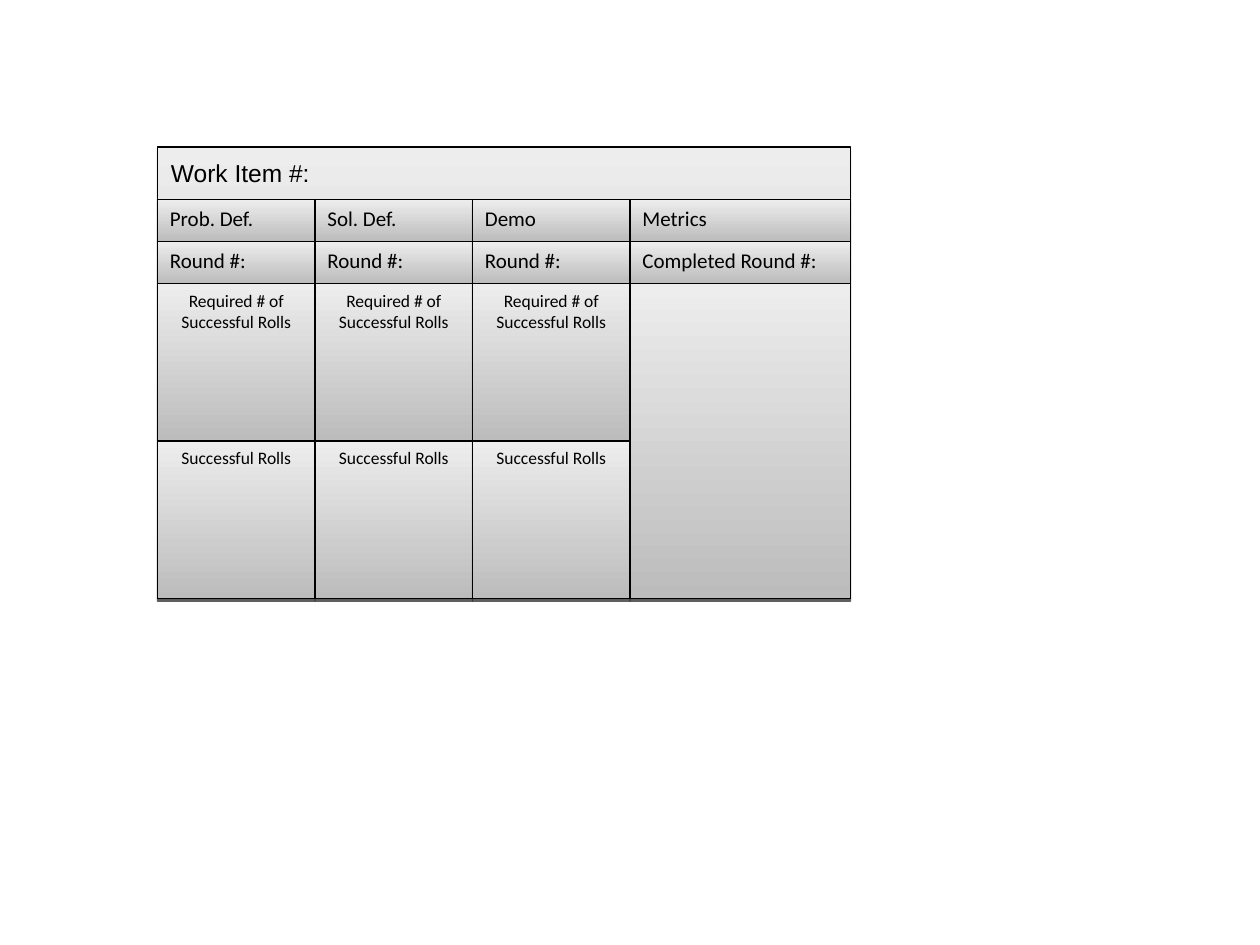
from lxml import etree
from pptx import Presentation
from pptx.dml.color import RGBColor
from pptx.enum.shapes import MSO_SHAPE
from pptx.enum.text import MSO_ANCHOR, MSO_AUTO_SIZE, PP_ALIGN
from pptx.oxml.ns import qn
from pptx.util import Pt

RECTANGLE = MSO_SHAPE.RECTANGLE
TOP = MSO_ANCHOR.TOP
FIT_SHAPE = MSO_AUTO_SIZE.SHAPE_TO_FIT_TEXT
LEFT, CENTER = PP_ALIGN.LEFT, PP_ALIGN.CENTER
BLACK = RGBColor(0x00, 0x00, 0x00)
DARK_GRAY = RGBColor(0xBC, 0xBC, 0xBC)
LIGHT_GRAY = RGBColor(0xED, 0xED, 0xED)

CARD_TITLE = "Work Item #:"
STAGES = ["Prob. Def.", "Sol. Def.", "Demo"]
STAGE_ROWS = ["Round #:", "Required # of Successful Rolls", "Successful Rolls"]
METRICS = ["Metrics", "Completed Round #:", ""]

CARD_LEFT, CARD_TOP = 90, 84
TITLE_HEIGHT, LABEL_HEIGHT, ROLLS_HEIGHT = 30, 24, 90
STAGE_WIDTH, METRICS_WIDTH = 90, 126
STAGE_HEIGHTS = [LABEL_HEIGHT, LABEL_HEIGHT, ROLLS_HEIGHT, ROLLS_HEIGHT]
METRICS_HEIGHTS = [LABEL_HEIGHT, LABEL_HEIGHT, 2 * ROLLS_HEIGHT]

LABEL_FONT = {"name": "Calibri", "size": Pt(12)}
ROLLS_FONT = {"name": "Calibri", "size": Pt(10)}
TITLE_FONT = {"name": "Arial", "size": Pt(14)}
FRAME_FORMAT = {
    "margin_left": Pt(7.2), "margin_right": Pt(7.2),
    "margin_top": Pt(3.6), "margin_bottom": Pt(3.6),
    "vertical_anchor": TOP,
}


def write_text(shape, text, font_format, alignment=LEFT, wrap=True):
    frame = shape.text_frame
    for name, value in FRAME_FORMAT.items():
        setattr(frame, name, value)
    frame.word_wrap = wrap
    frame.text = text
    paragraph = frame.paragraphs[0]
    paragraph.alignment = alignment
    for name, value in font_format.items():
        setattr(paragraph.font, name, value)
    paragraph.font.color.rgb = BLACK


def add_shadow(shape):
    shape.shadow.inherit = False
    effects = shape._element.spPr.find(qn("a:effectLst"))
    shadow = etree.SubElement(effects, qn("a:outerShdw"), blurRad="0",
                              dist=str(Pt(1.6)), dir="5400000", rotWithShape="0")
    color = etree.SubElement(shadow, qn("a:srgbClr"), val=str(BLACK))
    etree.SubElement(color, qn("a:alpha"), val="38000")


def add_panel(shapes, left, top, width, height):
    panel = shapes.add_shape(RECTANGLE, Pt(left), Pt(top), Pt(width), Pt(height))
    panel.fill.gradient()
    panel.fill.gradient_angle = 90
    for stop, color in zip(panel.fill.gradient_stops, (DARK_GRAY, LIGHT_GRAY)):
        stop.color.rgb = color
    panel.line.color.rgb = BLACK
    panel.line.width = Pt(0.75)
    add_shadow(panel)
    return panel


def add_column(shapes, left, width, texts, heights):
    top = CARD_TOP + TITLE_HEIGHT
    for text, height in zip(texts, heights):
        panel = add_panel(shapes, left, top, width, height)
        if text and height == LABEL_HEIGHT:
            write_text(panel, text, LABEL_FONT)
        elif text:
            write_text(panel, text, ROLLS_FONT, CENTER)
        top += height


def main():
    presentation = Presentation()
    presentation.slide_width, presentation.slide_height = Pt(720), Pt(540)
    slide = presentation.slides.add_slide(presentation.slide_layouts[6])
    shapes = slide.shapes.add_group_shape().shapes

    metrics_left = CARD_LEFT + len(STAGES) * STAGE_WIDTH
    card_width = metrics_left + METRICS_WIDTH - CARD_LEFT
    add_panel(shapes, CARD_LEFT, CARD_TOP, card_width, TITLE_HEIGHT + sum(STAGE_HEIGHTS))
    title = shapes.add_textbox(Pt(90.6), Pt(87), Pt(98), Pt(24.5))
    write_text(title, CARD_TITLE, TITLE_FONT, wrap=False)
    title.text_frame.auto_size = FIT_SHAPE

    for index, stage in enumerate(STAGES):
        left = CARD_LEFT + index * STAGE_WIDTH
        add_column(shapes, left, STAGE_WIDTH, [stage] + STAGE_ROWS, STAGE_HEIGHTS)
    add_column(shapes, metrics_left, METRICS_WIDTH, METRICS, METRICS_HEIGHTS)

    presentation.save("out.pptx")


if __name__ == "__main__":
    main()
